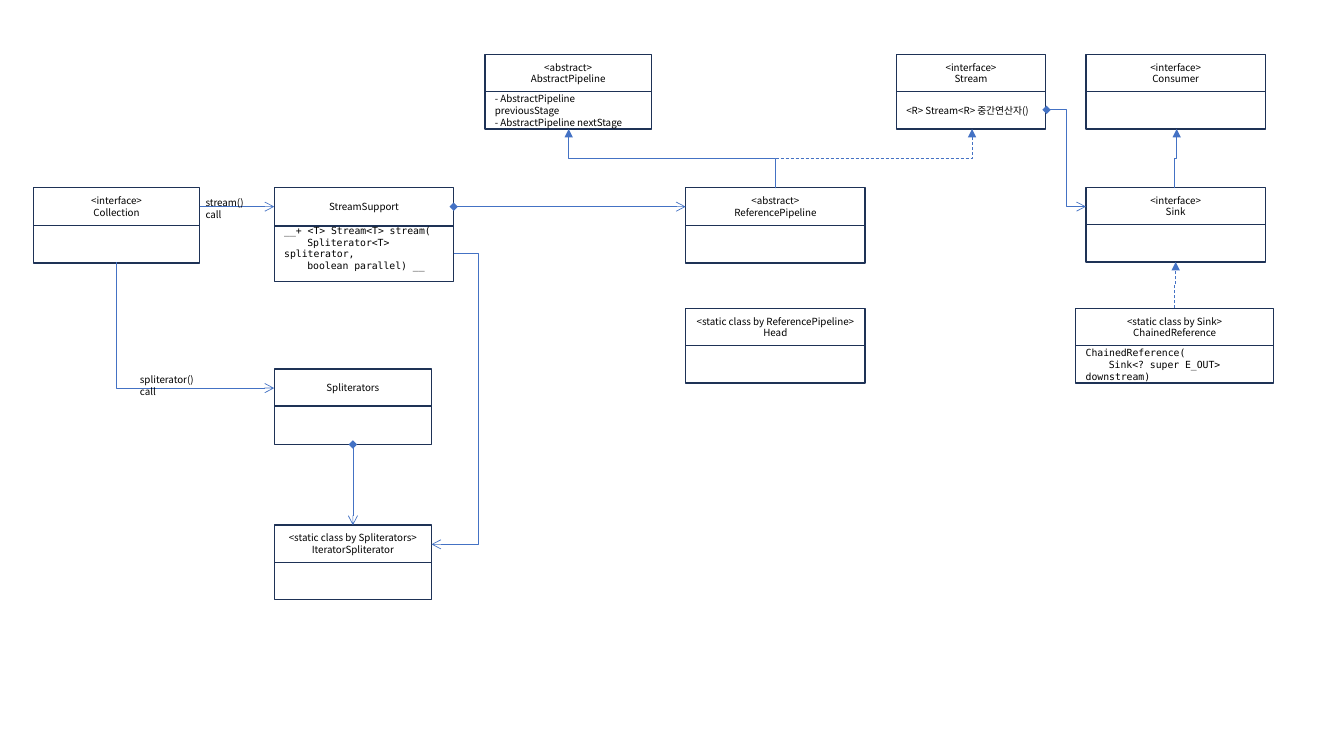
from dataclasses import dataclass
from typing import Any

from lxml import etree
from pptx import Presentation
from pptx.dml.color import RGBColor
from pptx.enum.dml import MSO_LINE
from pptx.enum.shapes import MSO_CONNECTOR, MSO_SHAPE
from pptx.enum.text import MSO_ANCHOR, MSO_AUTO_SIZE, PP_ALIGN
from pptx.oxml.ns import qn
from pptx.util import Pt

RECT = MSO_SHAPE.RECTANGLE
ELBOW, STRAIGHT = MSO_CONNECTOR.ELBOW, MSO_CONNECTOR.STRAIGHT
LEFT, CENTER = PP_ALIGN.LEFT, PP_ALIGN.CENTER
MIDDLE = MSO_ANCHOR.MIDDLE
GROW = MSO_AUTO_SIZE.SHAPE_TO_FIT_TEXT
DASH = MSO_LINE.DASH
TOP_SIDE, LEFT_SIDE, BOTTOM_SIDE, RIGHT_SIDE = range(4)
PX = 9144


@dataclass(frozen=True)
class Theme:
    ink: RGBColor = RGBColor(0, 0, 0)
    frame: RGBColor = RGBColor(0x1E, 0x32, 0x56)
    link: RGBColor = RGBColor(0x44, 0x72, 0xC4)
    sans: str = "Noto Sans CJK KR"
    mono: str = "DejaVu Sans Mono"
    size: float = 7
    border: float = 1
    wire: float = 0.5


THEME = Theme()


@dataclass(frozen=True)
class Box:
    x: int
    y: int
    width: int
    head: int
    body: int
    title: tuple[str, ...]
    lines: tuple[str, ...] = ()
    font: str = THEME.sans
    indents: tuple[int, ...] = ()
    pad: int = 5


@dataclass(frozen=True)
class Route:
    start: tuple[int, int]
    end: tuple[int, int]
    tip: str
    root: str = ""
    upright: bool = False
    corner: bool = False
    dashed: bool = False
    bend: float = 0.5


@dataclass(frozen=True)
class Join:
    source: str
    side: int
    target: str
    port: int
    root: str = ""


@dataclass(frozen=True)
class Label:
    x: int
    y: int
    width: int
    text: str


BOXES = (
    Box(481, 54, 165, 37, 37, ("<abstract>", "AbstractPipeline"),
        ("- AbstractPipeline previousStage", "- AbstractPipeline nextStage")),
    Box(680, 186, 178, 38, 37, ("<abstract>", "ReferencePipeline")),
    Box(680, 306, 178, 37, 37, ("<static class by ReferencePipeline>", "Head")),
    Box(889, 54, 148, 37, 37, ("<interface>", "Stream"), ("<R> Stream<R> 중간연산자()",)),
    Box(33, 186, 165, 38, 37, ("<interface>", "Collection")),
    Box(272, 366, 156, 37, 38, ("Spliterators",)),
    Box(272, 521, 156, 37, 37, ("<static class by Spliterators>", "IteratorSpliterator")),
    Box(272, 186, 178, 38, 55, ("StreamSupport",),
        ("__+ <T> Stream<T> stream(", "Spliterator<T> spliterator,", "boolean parallel) __"),
        font=THEME.mono, indents=(0, 23, 23), pad=16),
    Box(1077, 186, 178, 37, 37, ("<interface>", "Sink")),
    Box(1077, 54, 178, 37, 37, ("<interface>", "Consumer")),
    Box(1067, 306, 196, 37, 37, ("<static class by Sink>", "ChainedReference"),
        ("ChainedReference(", "Sink<? super E_OUT> downstream)"),
        font=THEME.mono, indents=(0, 23)),
)

JOINS = (
    Join("Collection", RIGHT_SIDE, "StreamSupport", LEFT_SIDE),
    Join("StreamSupport", RIGHT_SIDE, "ReferencePipeline", LEFT_SIDE, root="diamond"),
    Join("Spliterators", BOTTOM_SIDE, "IteratorSpliterator", TOP_SIDE, root="diamond"),
)

ROUTES = (
    Route((115, 260), (272, 385), "arrow", upright=True, corner=True),
    Route((450, 251), (428, 540), "arrow", bend=-1.13),
    Route((769, 187), (564, 128), "triangle", upright=True),
    Route((769, 187), (964, 128), "triangle", upright=True, dashed=True),
    Route((1038, 109), (1077, 205), "arrow", root="diamond"),
    Route((1165, 187), (1167, 128), "triangle", upright=True),
    Route((1165, 306), (1166, 260), "triangle", upright=True, dashed=True),
)

LABELS = (
    Label(194, 190, 74, "stream() call"),
    Label(129, 366, 90, "spliterator() call"),
)


def px(value: float) -> int:
    return round(value * PX)


def write(frame: Any, lines: tuple[str, ...], *, font: str = THEME.sans,
          align: Any = LEFT, indents: tuple[int, ...] = (), pad: int = 5) -> None:
    frame.word_wrap = True
    frame.margin_left = frame.margin_right = px(10)
    frame.margin_top, frame.margin_bottom = px(5), px(pad)
    for index, line in enumerate(lines):
        para = frame.paragraphs[0] if index == 0 else frame.add_paragraph()
        para.alignment = align
        if indents and indents[index]:
            props = para._p.get_or_add_pPr()
            props.set("marL", "0")
            props.set("indent", str(px(indents[index])))
        run = para.add_run()
        run.text = line
        run.font.size = Pt(THEME.size)
        run.font.color.rgb = THEME.ink
        run.font.name = font
        etree.SubElement(run._r.get_or_add_rPr(), qn("a:ea")).set("typeface", font)


def cell(shapes: Any, box: Box, y: int, height: int) -> Any:
    shape = shapes.add_shape(RECT, px(box.x), px(y), px(box.width), px(height))
    shape.shadow.inherit = False
    shape.fill.background()
    shape.line.color.rgb = THEME.frame
    shape.line.width = Pt(THEME.border)
    shape.text_frame.vertical_anchor = MIDDLE
    return shape


def draw_box(slide: Any, box: Box) -> tuple[Any, Any]:
    shapes = slide.shapes.add_group_shape().shapes
    head = cell(shapes, box, box.y, box.head)
    write(head.text_frame, box.title, align=CENTER)
    body = cell(shapes, box, box.y + box.head, box.body)
    if box.lines:
        write(body.text_frame, box.lines, font=box.font, indents=box.indents, pad=box.pad)
    return head, body


def style(wire: Any, tip: str, root: str, dashed: bool = False) -> None:
    wire.line.color.rgb = THEME.link
    wire.line.width = Pt(THEME.wire)
    if dashed:
        wire.line.dash_style = DASH
    line = wire.line._get_or_add_ln()
    for tag, kind in (("a:headEnd", root), ("a:tailEnd", tip)):
        if kind:
            etree.SubElement(line, qn(tag)).set("type", kind)
    etree.SubElement(wire.element.spPr, qn("a:effectLst"))


def draw_join(slide: Any, join: Join, parts: dict[str, tuple[Any, Any]]) -> None:
    wire = slide.shapes.add_connector(STRAIGHT, 0, 0, 0, 0)
    head, body = parts[join.source]
    wire.begin_connect(body if join.side == BOTTOM_SIDE else head, join.side)
    wire.end_connect(parts[join.target][0], join.port)
    style(wire, join.tip if hasattr(join, "tip") else "arrow", join.root)


def draw_route(slide: Any, route: Route) -> None:
    (x1, y1), (x2, y2) = route.start, route.end
    across, down = x2 - x1, y2 - y1
    sign = -1 if across * down > 0 else 1
    if route.upright:
        mid_x, mid_y = (x1 + x2) / 2, (y1 + y2) / 2
        half_x, half_y = sign * down / 2, -sign * across / 2
        x1, y1, x2, y2 = mid_x - half_x, mid_y - half_y, mid_x + half_x, mid_y + half_y
    wire = slide.shapes.add_connector(ELBOW, px(x1), px(y1), px(x2), px(y2))
    props = wire.element.spPr
    if route.upright:
        props.find(qn("a:xfrm")).set("rot", str(5400000 if sign > 0 else 16200000))
    shape = props.find(qn("a:prstGeom"))
    if route.corner:
        shape.set("prst", "bentConnector2")
    else:
        guide = etree.SubElement(shape.find(qn("a:avLst")), qn("a:gd"))
        guide.set("name", "adj1")
        guide.set("fmla", f"val {round(route.bend * 100000)}")
    style(wire, route.tip, route.root, route.dashed)


def draw_label(slide: Any, label: Label) -> None:
    note = slide.shapes.add_textbox(px(label.x), px(label.y), px(label.width), px(22))
    write(note.text_frame, (label.text,))
    note.text_frame.auto_size = GROW


def main() -> None:
    deck = Presentation()
    deck.slide_width, deck.slide_height = px(1333), px(750)
    slide = deck.slides.add_slide(deck.slide_layouts[6])
    parts = {box.title[-1]: draw_box(slide, box) for box in BOXES}
    for join in JOINS:
        draw_join(slide, join, parts)
    for route in ROUTES:
        draw_route(slide, route)
    for label in LABELS:
        draw_label(slide, label)
    deck.save("out.pptx")


if __name__ == "__main__":
    main()
